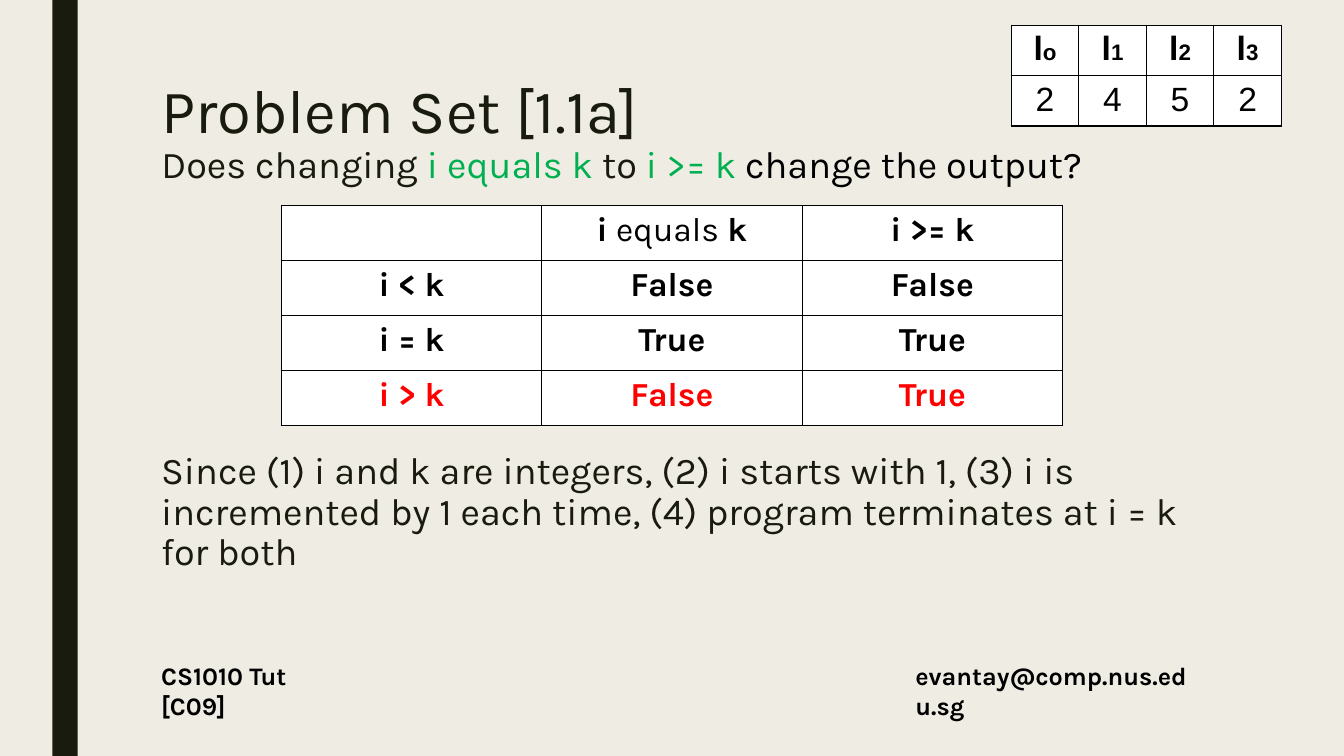
from lxml import etree
from pptx import Presentation
from pptx import util as u
from pptx.dml.color import RGBColor
from pptx.enum import shapes, text
from pptx.oxml.ns import qn

CREAM = RGBColor(0xEF, 0xED, 0xE3)
INK = RGBColor(0x19, 0x1B, 0x0E)
BLACK = RGBColor(0, 0, 0)
WHITE = RGBColor(0xFF, 0xFF, 0xFF)
GREEN = RGBColor(0, 0xB0, 0x50)
RED = RGBColor(0xFF, 0, 0)

WIDTH, HEIGHT = 13.33, 7.5
LEFT, CONTENT_W = 1.5, 10.5
RIGHT = LEFT + CONTENT_W
BLOCK_H = 1.62
LINE_SPACING = 0.89


def inches(*lengths):
    return [u.Inches(n) for n in lengths]


def add_run(p, words, size, color=BLACK, bold=False, font="Karla"):
    r = p.add_run()
    r.text = words
    r.font.size = u.Pt(size)
    r.font.name = font
    r.font.bold = bold
    r.font.color.rgb = color


def add_text(s, box, words, size, color, bold=False, spacing=None):
    tf = s.shapes.add_textbox(*inches(*box)).text_frame
    tf.word_wrap = True
    p = tf.paragraphs[0]
    p.line_spacing = spacing
    add_run(p, words, size, color, bold)


def set_borders(cell):
    tc_pr = cell._tc.get_or_add_tcPr()
    for i, side in enumerate(("lnL", "lnR", "lnT", "lnB")):
        ln = etree.Element(qn("a:" + side), w=str(u.Pt(1)))
        fill = etree.SubElement(ln, qn("a:solidFill"))
        etree.SubElement(fill, qn("a:srgbClr"), val=str(BLACK))
        tc_pr.insert(i, ln)


def add_grid(s, box, rows, font):
    """Each cell is a list of (words, size, color, bold) runs."""
    left, top, width, height = box
    tbl = s.shapes.add_table(len(rows), len(rows[0]), *inches(*box)).table
    tbl.first_row = tbl.horz_banding = False
    for col in tbl.columns:
        col.width = u.Inches(width / len(rows[0]))
    for i, row in enumerate(rows):
        tbl.rows[i].height = u.Inches(height / len(rows))
        for j, runs in enumerate(row):
            cell = tbl.cell(i, j)
            cell.fill.solid()
            cell.fill.fore_color.rgb = WHITE
            set_borders(cell)
            p = cell.text_frame.paragraphs[0]
            p.alignment = text.PP_ALIGN.CENTER
            for run in runs:
                add_run(p, *run, font=font)


def add_frame(s):
    # Background and side bar
    s.background.fill.solid()
    s.background.fill.fore_color.rgb = CREAM
    bar = s.shapes.add_shape(shapes.MSO_SHAPE.RECTANGLE, *inches(0.52, 0, 0.25, HEIGHT))
    bar.shadow.inherit = False
    bar.fill.solid()
    bar.fill.fore_color.rgb = INK
    bar.line.fill.background()
    # Footer: class on the left, contact on the right
    for words, left, width in (("CS1010 Tut [C09]", LEFT, 2.1),
                               ("evantay@comp.nus.edu.sg", RIGHT - 3.02, 3.02)):
        add_text(s, (left, 6.5, width, 0.4), words, 18, BLACK, bold=True)


def add_title(s, box):
    title = s.shapes.title
    title.left, title.top, title.width, title.height = inches(*box)
    tf = title.text_frame
    tf.word_wrap = True
    tf.auto_size = text.MSO_AUTO_SIZE.NONE
    tf.vertical_anchor = text.MSO_ANCHOR.TOP
    p = tf.paragraphs[0]
    p.alignment = text.PP_ALIGN.LEFT
    p.line_spacing = LINE_SPACING
    add_run(p, "Problem Set [1.1a]", 44, INK)
    p.add_line_break()
    for words, color in (("Does changing ", INK), ("i equals k ", GREEN), ("to ", INK),
                         ("i >= k ", GREEN), ("change the output?", BLACK)):
        add_run(p, words, 27, color)


def add_comparison(s, box):
    header = [[],
              [("i ", 24, BLACK, True), ("equals", 24, BLACK, False), (" k", 24, BLACK, True)],
              [("i >= k", 24, BLACK, True)]]
    cases = ((BLACK, "i < k", "False", "False"),
             (BLACK, "i = k", "True", "True"),
             (RED, "i > k", "False", "True"))
    body = [[[(words, 24, color, True)] for words in case] for color, *case in cases]
    add_grid(s, box, [header] + body, "Karla")


def add_list_values(s, box):
    names = [[("l", 24, BLACK, True), (n, 16, BLACK, True)] for n in "o123"]
    values = [[(v, 24, BLACK, False)] for v in "2452"]
    add_grid(s, box, [names, values], "Arial")


def main():
    prs = Presentation()
    prs.slide_width, prs.slide_height = inches(WIDTH, HEIGHT)
    s = prs.slides.add_slide(prs.slide_layouts[5])
    add_frame(s)
    add_title(s, (LEFT, 0.75, CONTENT_W, BLOCK_H))
    add_comparison(s, (2.79, 2.04, 7.75, 2.18))
    add_text(s, (LEFT, 4.44, CONTENT_W, BLOCK_H),
             "Since (1) i and k are integers, (2) i starts with 1, (3) i is incremented "
             "by 1 each time, (4) program terminates at i = k for both",
             27, INK, spacing=LINE_SPACING)
    add_list_values(s, (10.03, 0.25, 2.68, 0.95))
    prs.save("out.pptx")


if __name__ == "__main__":
    main()
